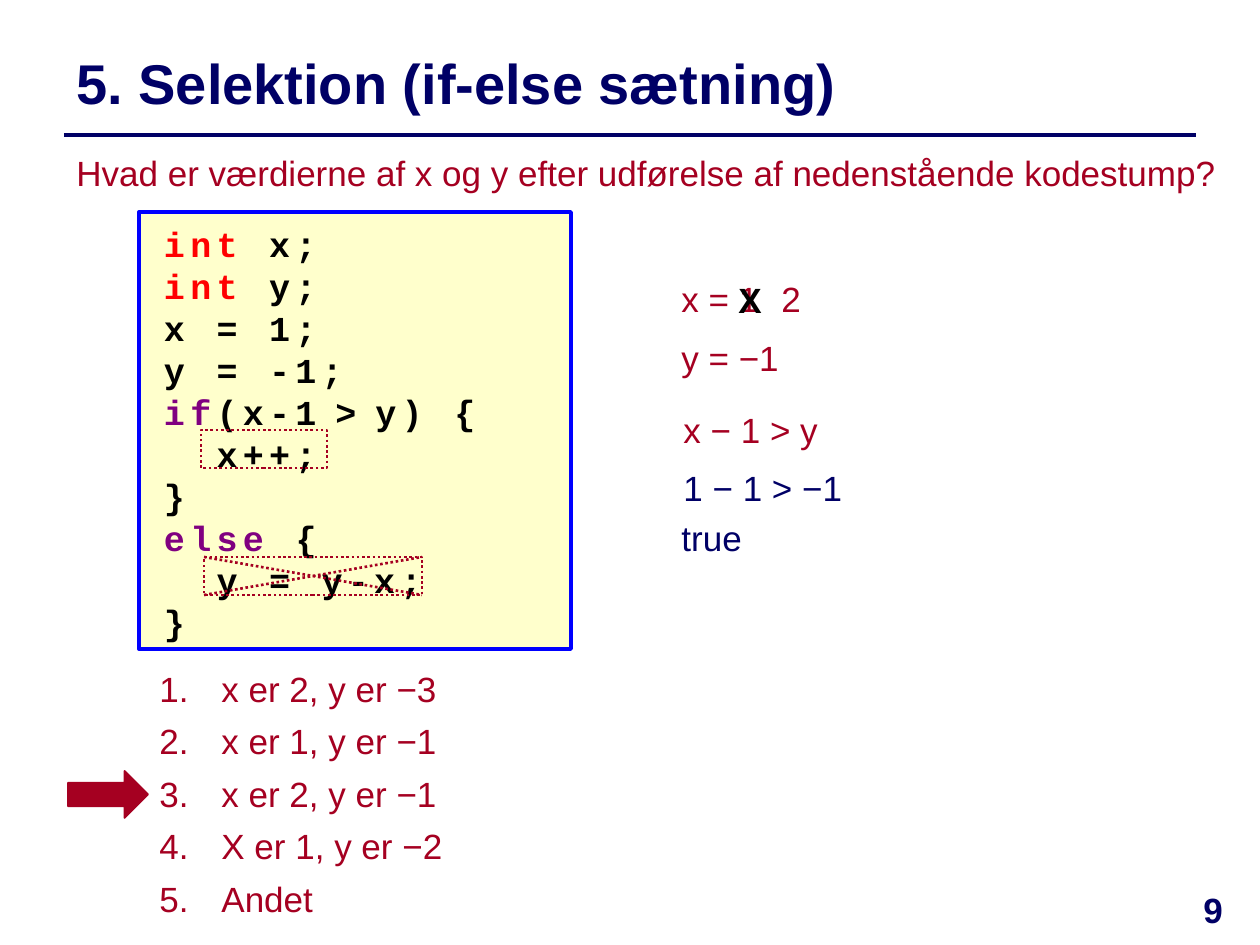
import pptx
import pptx.dml.color
import pptx.enum.dml
import pptx.enum.shapes
import pptx.enum.text
import pptx.oxml.ns
import pptx.util
from lxml import etree

PX = 914400 / 126
NAVY, CRIMSON, BLACK = "000066", "A50021", "000000"
RED, PURPLE = "FF0000", "800080"
SHAPES = pptx.enum.shapes.MSO_SHAPE
ANCHORS = pptx.enum.text.MSO_ANCHOR
CODE = [
    [("int ", RED), ("x;", BLACK)],
    [("int ", RED), ("y;", BLACK)],
    [("x = 1;", BLACK)],
    [("y = -1;", BLACK)],
    [("if", PURPLE), ("(x-1", BLACK), (" ", BLACK, 8), (">", BLACK), (" ", BLACK, 8), ("y) {", BLACK)],
    [("  x++;", BLACK)],
    [("}", BLACK)],
    [("else ", PURPLE), ("{", BLACK)],
    [("  y = y-x;", BLACK)],
    [("}", BLACK)],
]
ANSWERS = ["x er 2, y er −3", "x er 1, y er −1", "x er 2, y er −1", "X er 1, y er −2", "Andet"]
TRACE = [
    ("x = 1", 669, 271, 106, CRIMSON, False),
    ("y = −1", 669, 330, 132, CRIMSON, False),
    ("2", 769, 271, 79, CRIMSON, False),
    ("X", 726, 272, 77, BLACK, True),
    ("x − 1 > y", 671, 402, 210, CRIMSON, False),
    ("1 − 1 > −1", 671, 460, 210, NAVY, False),
    ("true", 669, 510, 181, NAVY, False),
]


def emu(pixels):
    """Turn pixels into EMU."""
    return pptx.util.Emu(round(pixels * PX))


def color(value):
    """Turn a hex string into a colour."""
    return pptx.dml.color.RGBColor.from_string(value)


def style_line(line, value, width, dotted=False):
    """Set the colour, width and dash of a line."""
    line.color.rgb = color(value)
    line.width = pptx.util.Pt(width)
    if dotted:
        line.dash_style = pptx.enum.dml.MSO_LINE.ROUND_DOT


def add_shape(shapes, kind, box, fill, outline, width, dotted=False):
    """Add a preset shape without shadow."""
    shape = shapes.add_shape(kind, *map(emu, box))
    shape.shadow.inherit = False
    if fill:
        shape.fill.solid()
        shape.fill.fore_color.rgb = color(fill)
    else:
        shape.fill.background()
    style_line(shape.line, outline, width, dotted)
    return shape


def add_line(shapes, start, end, value, width, dotted=False):
    """Add a straight line without shadow."""
    straight = pptx.enum.shapes.MSO_CONNECTOR.STRAIGHT
    line = shapes.add_connector(straight, *map(emu, start + end))
    etree.SubElement(line._element.spPr, pptx.oxml.ns.qn("a:effectLst"))
    style_line(line.line, value, width, dotted)


def format_run(run, value, size=20, bold=False, font="Arial"):
    """Set the font of a run."""
    run.font.name = font
    run.font.size = pptx.util.Pt(size)
    run.font.bold = bold
    run.font.color.rgb = color(value)


def add_text(slide, text, box, value, size=20, bold=False, after=0, align=None, anchor=ANCHORS.TOP, numbered=False):
    """Add a text box with one paragraph for each line of text."""
    frame = slide.shapes.add_textbox(*map(emu, box)).text_frame
    frame.word_wrap = True
    frame.vertical_anchor = anchor
    for index, content in enumerate(text.split("\n")):
        paragraph = frame.add_paragraph() if index else frame.paragraphs[0]
        paragraph.space_after = pptx.util.Pt(after)
        paragraph.line_spacing = pptx.util.Pt(size * 1.2)
        paragraph.alignment = align
        if numbered:
            number_paragraph(paragraph, 62)
        run = paragraph.add_run()
        run.text = content
        format_run(run, value, size, bold)


def number_paragraph(paragraph, indent):
    """Give a paragraph an automatic number and a hanging indent."""
    properties = paragraph._p.get_or_add_pPr()
    properties.set("marL", str(emu(indent)))
    properties.set("indent", str(-emu(indent)))
    etree.SubElement(properties, pptx.oxml.ns.qn("a:buFont"), typeface="+mj-lt")
    etree.SubElement(properties, pptx.oxml.ns.qn("a:buAutoNum"), type="arabicPeriod")


def add_code(slide, lines, box):
    """Add the framed listing with coloured keywords."""
    frame = add_shape(slide.shapes, SHAPES.RECTANGLE, box, "FFFFCC", "0000FF", 2.25).text_frame
    frame.margin_left = emu(25)
    frame.word_wrap = True
    frame.vertical_anchor = ANCHORS.BOTTOM
    for index, parts in enumerate(lines):
        paragraph = frame.add_paragraph() if index else frame.paragraphs[0]
        paragraph.alignment = pptx.enum.text.PP_ALIGN.LEFT
        paragraph.line_spacing = pptx.util.Pt(24)
        for text, value, *size in parts:
            run = paragraph.add_run()
            run.text = text
            format_run(run, value, *(size or [20]), bold=True, font="Courier New")
            run.font._element.set("spc", "300")


def add_crossed_box(slide, left, top, width, height):
    """Add a dotted box with both diagonals as one group."""
    shapes = slide.shapes.add_group_shape().shapes
    right, bottom = left + width, top + height
    add_shape(shapes, SHAPES.RECTANGLE, (left, top, width, height), None, CRIMSON, 1.5, True)
    add_line(shapes, (left, bottom), (right, top), CRIMSON, 1.5, True)
    add_line(shapes, (left, top), (right, bottom), CRIMSON, 1.5, True)


def main():
    """Build the slide and save it."""
    presentation = pptx.Presentation()
    presentation.slide_width, presentation.slide_height = emu(1260), emu(945)
    slide = presentation.slides.add_slide(presentation.slide_layouts[6])
    add_line(slide.shapes, (64, 135), (1196, 135), NAVY, 2)
    add_text(slide, "5. Selektion (if-else sætning)", (64, 35, 1132, 95), NAVY,
             size=32, bold=True, anchor=ANCHORS.MIDDLE)
    add_text(slide, "Hvad er værdierne af x og y efter udførelse af nedenstående kodestump?",
             (64, 145, 1171, 55), CRIMSON)
    add_code(slide, CODE, (139, 212, 432, 437))
    add_text(slide, "\n".join(ANSWERS), (147, 661, 348, 267), CRIMSON, after=6, numbered=True)
    add_shape(slide.shapes, SHAPES.RIGHT_ARROW, (68, 771, 80, 47), CRIMSON, CRIMSON, 1)
    for text, left, top, width, value, bold in TRACE:
        add_text(slide, text, (left, top, width, 55), value, bold=bold)
    add_shape(slide.shapes, SHAPES.RECTANGLE, (201, 430, 126, 38), None, CRIMSON, 1.5, True)
    add_text(slide, "9", (1166, 882, 94, 63), NAVY, bold=True, align=pptx.enum.text.PP_ALIGN.CENTER)
    add_crossed_box(slide, 204, 557, 218, 38)
    presentation.save("out.pptx")


if __name__ == "__main__":
    main()
